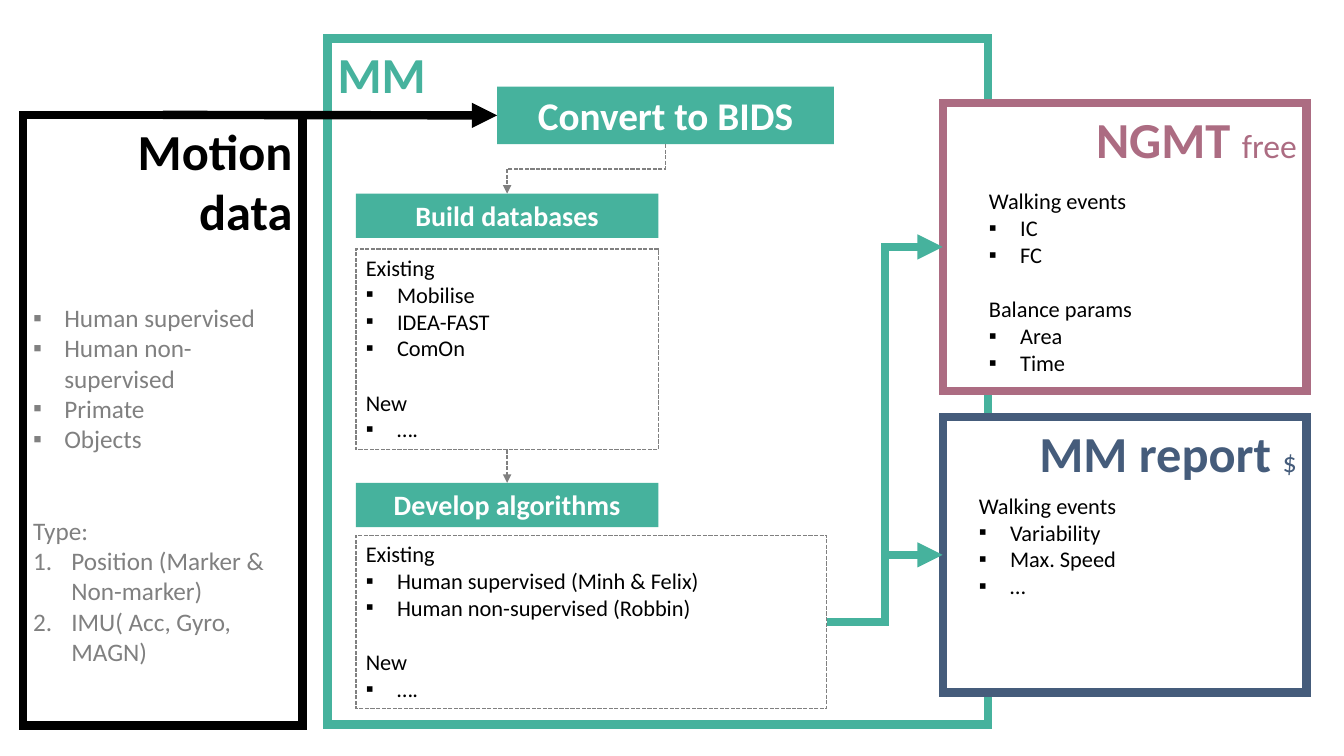
from lxml import etree
from pptx import Presentation
from pptx.dml.color import RGBColor
from pptx.enum.dml import MSO_LINE
from pptx.enum.shapes import MSO_CONNECTOR, MSO_SHAPE
from pptx.enum.text import MSO_ANCHOR, PP_ALIGN
from pptx.oxml.ns import qn
from pptx.util import Inches, Pt

GREEN = RGBColor(0x46, 0xB2, 0x9D)
ROSE = RGBColor(0xAC, 0x6C, 0x82)
NAVY = RGBColor(0x45, 0x5C, 0x7B)
BLACK = RGBColor(0, 0, 0)
GRAY = RGBColor(0x80, 0x80, 0x80)
WHITE = RGBColor(0xFF, 0xFF, 0xFF)
FONT = "Calibri"
DASH = MSO_LINE.SQUARE_DOT
LINE, ELBOW = MSO_CONNECTOR.STRAIGHT, MSO_CONNECTOR.ELBOW
LEFT, RIGHT, CENTER = PP_ALIGN.LEFT, PP_ALIGN.RIGHT, PP_ALIGN.CENTER
TOP_SIDE, LEFT_SIDE, LOW_SIDE, RIGHT_SIDE = range(4)


def inches(box):
    return [Inches(n) for n in box]


def add(parent, tag, **attrs):
    return etree.SubElement(parent, qn(tag), attrs)


def stroke(shape, color, width, dash=None):
    """Set the outline and return its XML element."""
    shape.line.color.rgb = color
    shape.line.width = Pt(width)
    if dash:
        shape.line.dash_style = dash
    line = shape.element.spPr.find(qn("a:ln"))
    add(line, "a:miter", lim="800000")
    return line


def style(para, size, color, bold=False, align=LEFT):
    para.alignment = align
    para.font.name = FONT
    para.font.size = Pt(size)
    para.font.bold = bold
    para.font.color.rgb = color


def rect(slide, box, fill=None):
    shape = slide.shapes.add_shape(MSO_SHAPE.RECTANGLE, *inches(box))
    shape.shadow.inherit = False
    if fill is None:
        shape.fill.background()
    else:
        shape.fill.solid()
        shape.fill.fore_color.rgb = fill
    shape.text_frame.vertical_anchor = MSO_ANCHOR.TOP
    return shape


def frame(slide, box, color, title, align=RIGHT, fill=None, note="", size=24):
    """Thick frame with a title and an optional smaller note after it."""
    shape = rect(slide, box, fill)
    stroke(shape, color, 6)
    para = shape.text_frame.paragraphs[0]
    style(para, 36, color, True, align)
    para.add_run().text = title
    if note:
        run = para.add_run()
        run.text = note
        run.font.size = Pt(size)
        run.font.bold = False
    return shape


def banner(slide, box, title, size):
    shape = rect(slide, box, GREEN)
    shape.line.fill.background()
    para = shape.text_frame.paragraphs[0]
    para.text = title
    style(para, size, WHITE, True, CENTER)
    return shape


def mark(para, kind):
    """Give the paragraph a hanging bullet or number."""
    props = para._p.get_or_add_pPr()
    hang = Inches(0.38 if kind == "1." else 0.31)
    props.set("marL", str(hang))
    props.set("indent", str(-hang))
    if kind == "1.":
        add(props, "a:buFont", typeface="+mj-lt")
        add(props, "a:buAutoNum", type="arabicPeriod")
    else:
        add(props, "a:buFont", typeface="Arial")
        add(props, "a:buChar", char=kind)


def fill_list(text, groups, size=16, color=BLACK, gap=19.5):
    """Write groups of (heading, mark, items), with a gap between groups."""
    for head, kind, items in groups:
        rows = [(None, head)] if head else []
        rows += [(kind, item) for item in items]
        for i, (sign, words) in enumerate(rows):
            first = text.paragraphs[0]
            fresh = not first.text
            para = first if fresh else text.add_paragraph()
            para.text = words
            if sign:
                mark(para, sign)
            if i == 0 and not fresh:
                para.space_before = Pt(gap)
            style(para, size, color)


def panel(slide, box, groups):
    shape = rect(slide, box)
    stroke(shape, GRAY, 1, DASH)
    fill_list(shape.text_frame, groups)
    return shape


def notes_box(slide, box, groups):
    text = slide.shapes.add_textbox(*inches(box)).text_frame
    text.word_wrap = True
    fill_list(text, groups)


def arrow(slide, kind, ends, color, width, dash=None):
    """Connector joining (shape, side) to (shape, side)."""
    (start, out), (stop, into) = ends
    link = slide.shapes.add_connector(kind, 0, 0, 0, 0)
    link.begin_connect(start, out)
    link.end_connect(stop, into)
    line = stroke(link, color, width, dash)
    add(line, "a:tailEnd", type="triangle")
    add(link.element.spPr, "a:effectLst")
    return link


def turn_down(link):
    """Turn an elbow that goes down and left so it leaves vertically."""
    wide, high = link.width, link.height
    mid_x, mid_y = link.left + wide // 2, link.top + high // 2
    xfrm = link.element.spPr.find(qn("a:xfrm"))
    xfrm.attrib.pop("flipH", None)
    xfrm.set("rot", "5400000")
    link.left, link.top = mid_x - high // 2, mid_y - wide // 2
    link.width, link.height = high, wide


def motion(slide, box):
    shape = frame(slide, box, BLACK, "Motion data")
    fill_list(shape.text_frame, [
        (None, "▪", ["Human supervised", "Human non-supervised",
                     "Primate", "Objects"]),
        ("Type:", "1.", ["Position (Marker & Non-marker)",
                         "IMU( Acc, Gyro, MAGN)"]),
    ], 18, GRAY, 44)
    return shape


def outputs(slide, x, wide):
    events = frame(slide, (x, 1.02, wide, 2.86), ROSE, "NGMT ",
                   fill=WHITE, note="free")
    notes_box(slide, (x + 0.36, 1.81, 3.15, 2.02), [
        ("Walking events", "▪", ["IC", "FC"]),
        ("Balance params", "▪", ["Area", "Time"]),
    ])
    report = frame(slide, (x, 4.14, wide, 2.73), NAVY, "MM report ",
                   fill=WHITE, note="$", size=20)
    notes_box(slide, (x + 0.26, 4.83, 3.04, 1.18), [
        ("Walking events", "▪", ["Variability", "Max. Speed", "…"]),
    ])
    return events, report


def steps(slide, x):
    """Draw the chain of steps; return its first and last shapes."""
    convert = banner(slide, (x + 1.4, 0.86, 3.34, 0.57), "Convert to BIDS", 28)
    build = banner(slide, (x, 1.92, 3, 0.44), "Build databases", 20)
    bases = panel(slide, (x, 2.47, 3, 1.99), [
        ("Existing", "▪", ["Mobilise", "IDEA-FAST", "ComOn"]),
        ("New", "▪", ["…."]),
    ])
    develop = banner(slide, (x, 4.79, 3, 0.44), "Develop algorithms", 20)
    methods = panel(slide, (x, 5.31, 4.67, 1.72), [
        ("Existing", "▪", ["Human supervised (Minh & Felix)",
                           "Human non-supervised (Robbin)"]),
        ("New", "▪", ["…."]),
    ])
    turn_down(arrow(slide, ELBOW, [(convert, LOW_SIDE), (build, TOP_SIDE)],
                    GRAY, 1, DASH))
    arrow(slide, LINE, [(bases, LOW_SIDE), (develop, TOP_SIDE)], GRAY, 1, DASH)
    return convert, methods


def main():
    deck = Presentation()
    deck.slide_width, deck.slide_height = Inches(13.33), Inches(7.5)
    slide = deck.slides.add_slide(deck.slide_layouts[6])
    frame(slide, (3.25, 0.38, 6.55, 6.81), GREEN, "MM", LEFT)
    results = outputs(slide, 9.35, 3.61)
    data = motion(slide, (0.23, 1.14, 2.77, 6.06))
    convert, methods = steps(slide, 3.53)
    arrow(slide, LINE, [(data, TOP_SIDE), (convert, LEFT_SIDE)], BLACK, 6)
    for result in results:
        arrow(slide, ELBOW, [(methods, RIGHT_SIDE), (result, LEFT_SIDE)],
              GREEN, 6)
    deck.save("out.pptx")


if __name__ == "__main__":
    main()
